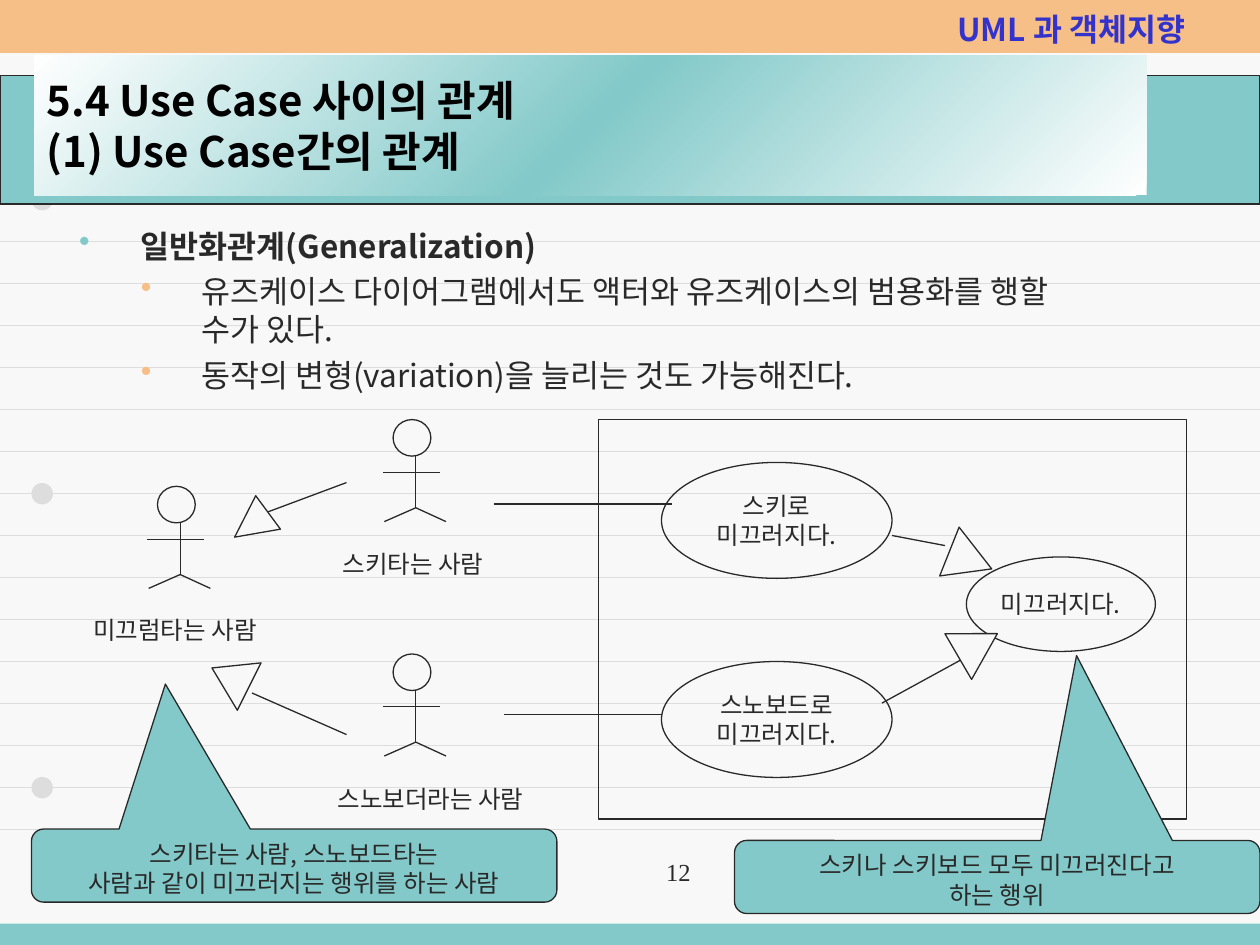
from copy import deepcopy

from lxml import etree
from pptx import Presentation
from pptx.dml.color import RGBColor
from pptx.enum.shapes import MSO_CONNECTOR, MSO_SHAPE
from pptx.enum.text import MSO_ANCHOR, MSO_AUTO_SIZE, PP_ALIGN
from pptx.oxml.ns import qn
from pptx.util import Inches, Pt

RECT, OVAL = MSO_SHAPE.RECTANGLE, MSO_SHAPE.OVAL
TRIANGLE, CALLOUT = MSO_SHAPE.ISOSCELES_TRIANGLE, MSO_SHAPE.ROUNDED_RECTANGULAR_CALLOUT
STRAIGHT = MSO_CONNECTOR.STRAIGHT
LEFT, CENTER, RIGHT = PP_ALIGN.LEFT, PP_ALIGN.CENTER, PP_ALIGN.RIGHT
TOP, MIDDLE = MSO_ANCHOR.TOP, MSO_ANCHOR.MIDDLE
NO_FIT, FIT_SHAPE = MSO_AUTO_SIZE.NONE, MSO_AUTO_SIZE.SHAPE_TO_FIT_TEXT

THEME = {
    "paper": "F8F8F8", "rule": "DDDDDD", "teal": "83C9C9", "orange": "F6BF88",
    "ink": "292929", "black": "000000", "white": "FFFFFF", "blue": "3333CC",
    "font": "Noto Sans CJK KR", "number_font": "Times New Roman",
    "title": 24, "body": 18, "label": 14,
}

# Content
COURSE = "UML 과 객체지향"
TITLE = "5.4 Use Case 사이의 관계\n(1) Use Case간의 관계"
PAGE_NUMBER = "12"
# text, level
BULLETS = [
    ("일반화관계(Generalization)", 0),
    ("유즈케이스 다이어그램에서도 액터와 유즈케이스의 범용화를 행할 수가 있다.", 1),
    ("동작의 변형(variation)을 늘리는 것도 가능해진다.", 1),
]
# bullet colour, text indent, hanging indent
LEVELS = [("teal", 0.49, 0.49), ("orange", 0.97, 0.48)]
# name, figure left and top, label box
ACTORS = [
    ("미끄럼타는 사람", 1.17, 3.86, (0.64, 4.83, 1.51, 0.34)),
    ("스키타는 사람", 3.04, 3.33, (2.62, 4.31, 1.33, 0.34)),
    ("스노보더라는 사람", 3.04, 5.19, (2.58, 6.17, 1.69, 0.34)),
]
USE_CASES = [
    (["스키로", "미끄러지다."], (5.25, 3.67, 1.83, 0.92)),
    (["스노보드로", "미끄러지다."], (5.25, 5.25, 1.83, 0.92)),
    (["미끄러지다."], (7.67, 4.42, 1.5, 0.75)),
]
ASSOCIATIONS = [(3.92, 4, 5.33, 4), (4, 5.67, 5.25, 5.67)]
# line, arrowhead box, arrowhead rotation
GENERALIZATIONS = [
    ((2.75, 3.83, 2.08, 4.08), (1.83, 4, 0.33, 0.33), 233.5),
    ((2, 5.5, 2.75, 5.83), (1.62, 5.21, 0.42, 0.33), 296.6),
    ((7, 5.58, 7.75, 5.17), (7.55, 4.94, 0.42, 0.36), 59.7),
    ((7.08, 4.25, 7.5, 4.33), (7.39, 4.28, 0.42, 0.36), 232),
]
# lines, box, pointer adjustments
CALLOUTS = [
    (["스키타는 사람, 스노보드타는", "사람과 같이 미끄러지는 행위를 하는 사람"],
     (0.25, 6.58, 4.17, 0.58), (-0.245, -2.485, 0.167)),
    (["스키나 스키보드 모두 미끄러진다고", "하는 행위"],
     (5.83, 6.67, 4.17, 0.58), (0.151, -3.03, 0.167)),
]
# Stick figure, measured from its left and top
HEAD = (0.08, 0, 0.3, 0.29)
LIMBS = [(0.26, 0.29, 0.26, 0.7), (0.26, 0.7, 0.01, 0.81),
         (0.26, 0.7, 0.5, 0.81), (0, 0.42, 0.45, 0.42)]


def color(name):
    return RGBColor.from_string(THEME[name])


def inches(box):
    return [Inches(length) for length in box]


def add_line(parent, ends, ink="ink", width=0.75):
    line = parent.add_connector(STRAIGHT, *inches(ends))
    line.line.color.rgb = color(ink)
    line.line.width = Pt(width)
    etree.SubElement(line._element.spPr, qn("a:effectLst"))


def add_figure(parent, kind, box, fill=None, outline="ink"):
    figure = parent.add_shape(kind, *inches(box))
    figure.shadow.inherit = False
    if fill:
        figure.fill.solid()
        figure.fill.fore_color.rgb = color(fill)
    else:
        figure.fill.background()
    if outline:
        figure.line.color.rgb = color(outline)
        figure.line.width = Pt(0.75)
    else:
        figure.line.fill.background()
    return figure


def style(paragraph, size="label", ink="ink", bold=False, align=LEFT, face="font"):
    paragraph.alignment = align
    font = paragraph.font
    font.size, font.bold, font.name = Pt(THEME[size]), bold, THEME[face]
    font.color.rgb = color(ink)
    defaults = paragraph._p.pPr.find(qn("a:defRPr"))
    etree.SubElement(defaults, qn("a:ea"), typeface=THEME[face])


def write(holder, lines, wrap=True, anchor=TOP, **look):
    frame = holder.text_frame
    frame.word_wrap, frame.vertical_anchor = wrap, anchor
    for index, text in enumerate(lines):
        paragraph = frame.add_paragraph() if index else frame.paragraphs[0]
        paragraph.text = text
        style(paragraph, **look)
    return frame


def add_bullet(paragraph, ink, indent, hanging):
    props = paragraph._p.get_or_add_pPr()
    props.set("marL", str(Inches(indent)))
    props.set("indent", str(-Inches(hanging)))
    bullet_color = etree.SubElement(props, qn("a:buClr"))
    etree.SubElement(bullet_color, qn("a:srgbClr"), val=THEME[ink])
    etree.SubElement(props, qn("a:buChar"), char="•")


def fill_title(title):
    title.left, title.top, title.width, title.height = inches((0.27, 0.44, 8.83, 1.11))
    title.fill.gradient()
    title.fill.gradient_angle = 135
    stops = title._element.spPr.find(qn("a:gradFill")).find(qn("a:gsLst"))
    stops.insert(1, deepcopy(stops[0]))
    for stop, (ink, position) in zip(
            title.fill.gradient_stops, [("white", 0), ("teal", 0.5), ("white", 1)]):
        stop.color.rgb = color(ink)
        stop.position = position
    frame = write(title, [TITLE], anchor=MIDDLE, size="title", ink="black", bold=True)
    frame.auto_size = NO_FIT


def main():
    deck = Presentation()
    deck.slide_width, deck.slide_height = Inches(10), Inches(7.5)
    slide = deck.slides.add_slide(deck.slide_layouts[5])
    shapes = slide.shapes
    slide.background.fill.solid()
    slide.background.fill.fore_color.rgb = color("paper")

    # Notebook paper: rules and punched holes
    for row in range(17):
        add_line(shapes, (0, 1.25 + row / 3, 10, 1.25 + row / 3), "rule", 0.5)
    for hole in range(3):
        add_figure(shapes, OVAL, (0.25, 1.5 + hole * 7 / 3, 0.17, 0.17), "rule", None)

    # Bands and course name, in a box wide enough for one line
    add_figure(shapes, RECT, (0, 7.33, 10, 0.17), "teal", None)
    add_figure(shapes, RECT, (0, 0, 10, 0.42), "orange", None)
    add_figure(shapes, RECT, (0, 0.6, 10, 1.02), "teal")
    course = shapes.add_textbox(*inches((7.5, 0.03, 2.4, 0.38)))
    write(course, [COURSE], size="body", ink="blue", bold=True)

    # Title, brought in front of the bands
    fill_title(shapes.title)
    shapes._spTree.append(shapes.title._element)

    # Bullets
    body = shapes.add_textbox(*inches((0.53, 1.75, 7.97, 1.5))).text_frame
    body.word_wrap = True
    for index, (text, level) in enumerate(BULLETS):
        paragraph = body.add_paragraph() if index else body.paragraphs[0]
        paragraph.text = text
        paragraph.level = level
        paragraph.space_before = Pt(4.5 if index else 0)
        add_bullet(paragraph, *LEVELS[level])
        style(paragraph, size="body", bold=level == 0)

    # System boundary and actors
    add_figure(shapes, RECT, (4.75, 3.33, 4.67, 3.17))
    for name, left, top, label_box in ACTORS:
        actor = shapes.add_group_shape().shapes
        x, y, width, height = HEAD
        add_figure(actor, OVAL, (left + x, top + y, width, height), "paper")
        for x1, y1, x2, y2 in LIMBS:
            add_line(actor, (left + x1, top + y1, left + x2, top + y2))
        label = write(shapes.add_textbox(*inches(label_box)), [name], wrap=False)
        label.auto_size = FIT_SHAPE

    # Use cases and relations
    for lines, box in USE_CASES:
        write(add_figure(shapes, OVAL, box), lines, wrap=False, anchor=MIDDLE, align=CENTER)
    for ends in ASSOCIATIONS:
        add_line(shapes, ends)
    for ends, box, rotation in GENERALIZATIONS:
        add_line(shapes, ends)
        add_figure(shapes, TRIANGLE, box, "paper").rotation = rotation

    # Callouts and page number
    for lines, box, pointer in CALLOUTS:
        callout = add_figure(shapes, CALLOUT, box, "teal")
        for index, value in enumerate(pointer):
            callout.adjustments[index] = value
        write(callout, lines, align=CENTER)
    number = shapes.add_textbox(*inches((3.25, 6.75, 2.33, 0.52)))
    write(number, [PAGE_NUMBER], align=RIGHT, face="number_font")

    deck.save("out.pptx")


if __name__ == "__main__":
    main()
